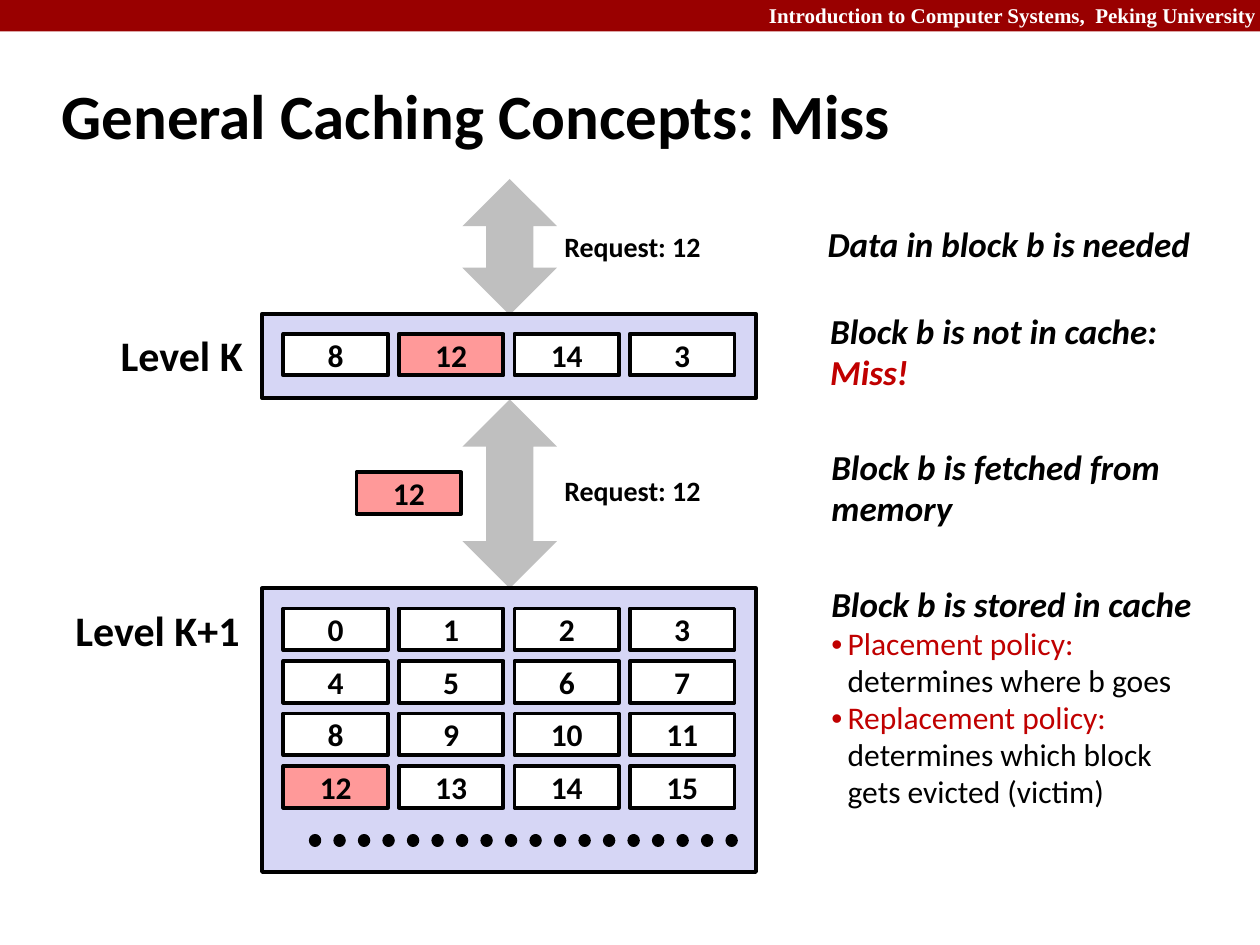
import pptx
import pptx.util
import pptx.dml.color
import pptx.enum.dml
import pptx.enum.shapes
import pptx.enum.text
import lxml.etree

Inches, Pt = pptx.util.Inches, pptx.util.Pt
SHAPE = pptx.enum.shapes.MSO_SHAPE
ALIGN = pptx.enum.text.PP_ALIGN
ANCHOR = pptx.enum.text.MSO_ANCHOR
BLACK, WHITE, RED = "000000", "FFFFFF", "C00000"
BANNER, LEVEL, BLOCK, REQUESTED, ARROW = "990000", "D6D6F5", "FFFFFF", "FF9999", "BFBFBF"

# Content: a paragraph is a list of (text, format) runs
COURSE = "Introduction to Computer Systems,  Peking University"
TITLE = "General Caching Concepts: Miss"
REQUEST = "Request: 12"
ARROWS = [(1.42, 1.08), (3.17, 1.5)]  # top, height
REQUEST_TOPS = [1.77, 3.71]
LEVELS = [  # panel top and height, first block row, rows of blocks
    (4.67, 2.25, 4.83, [[0, 1, 2, 3], [4, 5, 6, 7], [8, 9, 10, 11], [12, 13, 14, 15]]),
    (2.49, 0.67, 2.65, [[8, 12, 14, 3]]),
]
LEVEL_NAMES = [("Level K", 0.86, 2.57, 1.18), ("Level K+1", 0.5, 4.75, 1.52)]
NOTES = [  # left, top, width, height, paragraphs
    (6.47, 1.73, 3.09, 0.43, ["Data in block b is needed"]),
    (6.49, 2.42, 2.81, 0.76, ["Block b is not in cache:", [("Miss!", {"color": RED})]]),
    (6.5, 3.5, 2.83, 0.76, ["Block b is fetched from", "memory"]),
    (6.5, 4.58, 3.07, 1.92, ["Block b is stored in cache"]),
]
POLICIES = [
    ("Placement policy:", "determines where b goes"),
    ("Replacement policy:", "determines which block\ngets evicted (victim)"),
]
REQUESTED_BLOCK = 12
BLOCK_W, BLOCK_H = 0.83, 0.33
BLOCK_LEFT, COLUMN_STEP, ROW_STEP = 2.25, 2.75 / 3, 1.25 / 3

prs = pptx.Presentation()
prs.slide_width, prs.slide_height = Inches(10), Inches(7.5)
slide = prs.slides.add_slide(prs.slide_layouts[6])


def rgb(value):
    return pptx.dml.color.RGBColor.from_string(value)


def add_child(parent, tag, **attributes):
    return lxml.etree.SubElement(parent, pptx.oxml.ns.qn(tag), attributes)


def write(frame, paragraphs, size=18, color=BLACK, bold=True, italic=False, font="Calibri",
          align=ALIGN.LEFT, anchor=ANCHOR.TOP, wrap=False, spacing=None):
    """Fill a text frame; a paragraph is a string or a list of (text, format) runs."""
    frame.word_wrap, frame.vertical_anchor = wrap, anchor
    for index, runs in enumerate(paragraphs):
        paragraph = frame.paragraphs[0] if index == 0 else frame.add_paragraph()
        paragraph.alignment = align
        if spacing:
            paragraph.line_spacing = spacing
        for text, own in [(runs, {})] if isinstance(runs, str) else runs:
            look = {"size": size, "color": color, "bold": bold, "italic": italic, **own}
            if look.get("bullet"):
                properties = paragraph._p.get_or_add_pPr()
                properties.set("marL", str(Inches(0.13)))
                properties.set("indent", str(-Inches(0.13)))
                add_child(properties, "a:buFont", typeface="Arial")
                add_child(properties, "a:buChar", char="•")
            for number, line in enumerate(text.split("\n")):
                if number:
                    paragraph.add_line_break()
                run = paragraph.add_run()
                run.text = line
                run.font.name, run.font.size = font, Pt(look["size"])
                run.font.bold, run.font.italic = look["bold"], look["italic"]
                run.font.color.rgb = rgb(look["color"])


def add_text(left, top, width, height, paragraphs, **look):
    box = slide.shapes.add_textbox(Inches(left), Inches(top), Inches(width), Inches(height))
    write(box.text_frame, paragraphs, **look)


def add_box(left, top, width, height, fill, outlined=True, kind=SHAPE.RECTANGLE):
    box = slide.shapes.add_shape(kind, Inches(left), Inches(top), Inches(width), Inches(height))
    box.shadow.inherit = False
    box.fill.solid()
    box.fill.fore_color.rgb = rgb(fill)
    if outlined:
        box.line.color.rgb = rgb(BLACK)
        box.line.width = Pt(2.25)
    else:
        box.line.fill.background()
    return box


def add_block(left, top, number):
    fill = REQUESTED if number == REQUESTED_BLOCK else BLOCK
    block = add_box(left, top, BLOCK_W, BLOCK_H, fill)
    write(block.text_frame, [str(number)], align=ALIGN.CENTER, anchor=ANCHOR.MIDDLE, wrap=True)


# Banner and title
add_box(0, 0, 10, 0.25, BANNER, outlined=False)
add_text(6, -0.03, 4.07, 0.3, [COURSE], size=12, color=WHITE, font="Times New Roman",
         align=ALIGN.RIGHT, wrap=True)
add_text(0.39, 0.49, 8.3, 0.83, [TITLE], size=36, anchor=ANCHOR.MIDDLE, wrap=True)

# Transfer arrows between the levels
for top, height in ARROWS:
    add_box(3.67, top, 0.75, height, ARROW, outlined=False, kind=SHAPE.UP_DOWN_ARROW)

# Levels with their grids of blocks
for top, height, first_row, rows in LEVELS:
    add_box(2.08, top, 3.92, height, LEVEL)
    for row, numbers in enumerate(rows):
        for column, number in enumerate(numbers):
            add_block(BLOCK_LEFT + column * COLUMN_STEP, first_row + row * ROW_STEP, number)

# Block in transit
add_block(2.83, 3.75, REQUESTED_BLOCK)

# Dotted line for the remaining blocks
more_blocks = slide.shapes.add_connector(pptx.enum.shapes.MSO_CONNECTOR.STRAIGHT,
                                         Inches(2.5), Inches(6.67), Inches(5.83), Inches(6.67))
more_blocks.line.color.rgb = rgb(BLACK)
more_blocks.line.width = Pt(7)
more_blocks.line.dash_style = pptx.enum.dml.MSO_LINE.ROUND_DOT
more_blocks.line._get_or_add_ln().set("cap", "rnd")
add_child(more_blocks._element.spPr, "a:effectLst")

# Labels of requests and levels
for top in REQUEST_TOPS:
    add_text(4.37, top, 1.3, 0.37, [REQUEST], size=16, align=ALIGN.CENTER)
for name, left, top, width in LEVEL_NAMES:
    add_text(left, top, width, 0.5, [name], size=24)

# Explanations on the right, the last one followed by the policies
plain = {"size": 18, "bold": False, "italic": False}
policy_paragraphs = [
    [(name + "\n", {**plain, "color": RED, "bullet": True}), (effect, plain)]
    for name, effect in POLICIES
]
for index, (left, top, width, height, paragraphs) in enumerate(NOTES):
    extra = policy_paragraphs if index == len(NOTES) - 1 else []
    add_text(left, top, width, height, paragraphs + extra, size=20, italic=True,
             anchor=ANCHOR.MIDDLE, spacing=0.98)

prs.save("out.pptx")
